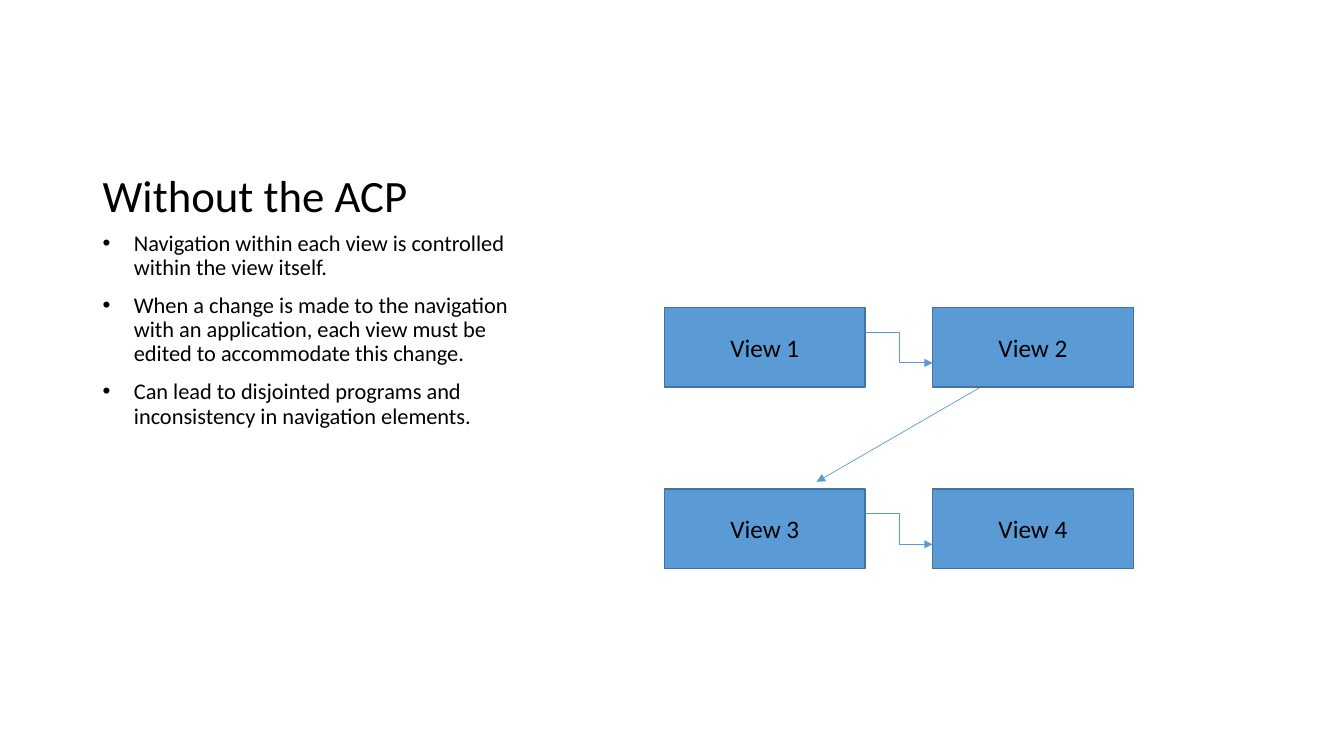
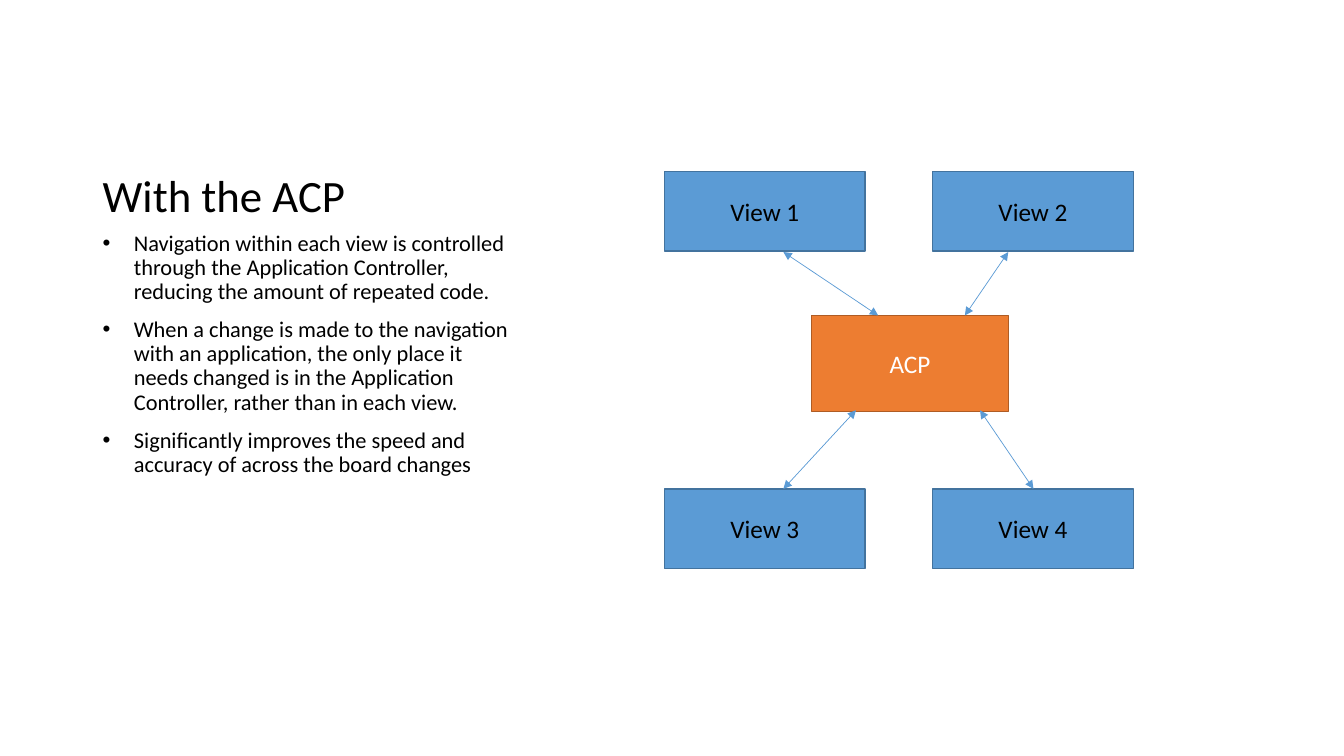
from dataclasses import dataclass

import lxml.etree
import pptx
import pptx.dml.color
import pptx.enum.shapes
import pptx.enum.text
import pptx.oxml.ns
import pptx.util

Inches = pptx.util.Inches
Pt = pptx.util.Pt
RGBColor = pptx.dml.color.RGBColor
Align = pptx.enum.text.PP_ALIGN
Anchor = pptx.enum.text.MSO_ANCHOR
Connector = pptx.enum.shapes.MSO_CONNECTOR
qn = pptx.oxml.ns.qn

# Shared look
FONT = "Calibri"
BLACK = RGBColor(0x00, 0x00, 0x00)
WHITE = RGBColor(0xFF, 0xFF, 0xFF)
BLUE = RGBColor(0x5B, 0x9B, 0xD5)
DARK_BLUE = RGBColor(0x43, 0x73, 0x9E)
ORANGE = RGBColor(0xED, 0x7D, 0x31)
DARK_ORANGE = RGBColor(0xAF, 0x5C, 0x24)

# Shared grid, in inches
TEXT_LEFT, TEXT_WIDTH = 0.92, 4.3
TITLE_TOP, TITLE_HEIGHT = 0.5, 1.75
BODY_TOP, BODY_HEIGHT = 2.25, 4.17
BULLET_INDENT = 0.31
VIEW_COLUMNS = (6.59, 9.25)
VIEW_WIDTH, VIEW_HEIGHT = 1.99, 0.79


@dataclass(frozen=True)
class Node:
    label: str
    left: float
    top: float
    width: float = VIEW_WIDTH
    height: float = VIEW_HEIGHT
    fill: RGBColor = BLUE
    border: RGBColor = DARK_BLUE
    color: RGBColor = BLACK


@dataclass(frozen=True)
class Link:
    start: tuple[float, float]
    end: tuple[float, float]
    bent: bool = False
    two_way: bool = False


@dataclass(frozen=True)
class Content:
    title: str
    bullets: tuple[str, ...]
    nodes: tuple[Node, ...]
    links: tuple[Link, ...]


def view_grid(row_tops: tuple[float, float]) -> tuple[Node, ...]:
    """Number the four views row by row."""
    places = [(left, top) for top in row_tops for left in VIEW_COLUMNS]
    return tuple(Node(f"View {number}", left, top)
                 for number, (left, top) in enumerate(places, start=1))


def style_font(para, size: float, color: RGBColor) -> None:
    para.font.name = FONT
    para.font.size = Pt(size)
    para.font.color.rgb = color


def add_text_frame(page, top: float, height: float, anchor):
    box = page.shapes.add_textbox(Inches(TEXT_LEFT), Inches(top),
                                  Inches(TEXT_WIDTH), Inches(height))
    frame = box.text_frame
    frame.word_wrap = True
    frame.vertical_anchor = anchor
    return frame


def add_title(page, title: str) -> None:
    para = add_text_frame(page, TITLE_TOP, TITLE_HEIGHT, Anchor.BOTTOM).paragraphs[0]
    para.text = title
    para.line_spacing = 0.9
    style_font(para, 32, BLACK)


def add_bullets(page, bullets: tuple[str, ...]) -> None:
    frame = add_text_frame(page, BODY_TOP, BODY_HEIGHT, Anchor.TOP)
    frame.text = "\n".join(bullets)
    for para in frame.paragraphs:
        para.line_spacing = 0.9
        para.space_before = Pt(10)
        properties = para._p.get_or_add_pPr()
        properties.set("marL", str(Inches(BULLET_INDENT)))
        properties.set("indent", str(-Inches(BULLET_INDENT)))
        lxml.etree.SubElement(properties, qn("a:buFont"), typeface="Arial")
        lxml.etree.SubElement(properties, qn("a:buChar"), char="•")
        style_font(para, 16, BLACK)


def add_node(page, node: Node) -> None:
    box = page.shapes.add_shape(
        pptx.enum.shapes.MSO_SHAPE.RECTANGLE, Inches(node.left), Inches(node.top),
        Inches(node.width), Inches(node.height))
    box.shadow.inherit = False
    box.fill.solid()
    box.fill.fore_color.rgb = node.fill
    box.line.color.rgb = node.border
    box.line.width = Pt(1)
    box.text_frame.vertical_anchor = Anchor.MIDDLE
    para = box.text_frame.paragraphs[0]
    para.text = node.label
    para.alignment = Align.CENTER
    style_font(para, 18, node.color)


def add_link(page, link: Link) -> None:
    kind = Connector.ELBOW if link.bent else Connector.STRAIGHT
    points = [Inches(value) for value in (*link.start, *link.end)]
    connector = page.shapes.add_connector(kind, *points)
    connector.line.color.rgb = BLUE
    connector.line.width = Pt(0.5)
    line = connector.line._get_or_add_ln()
    for end in ("a:headEnd", "a:tailEnd") if link.two_way else ("a:tailEnd",):
        lxml.etree.SubElement(line, qn(end), type="triangle")
    lxml.etree.SubElement(connector._element.spPr, qn("a:effectLst"))


def add_page(deck, content: Content) -> None:
    page = deck.slides.add_slide(deck.slide_layouts[6])
    add_title(page, content.title)
    add_bullets(page, content.bullets)
    for node in content.nodes:
        add_node(page, node)
    for link in content.links:
        add_link(page, link)


# Slide contents
WITHOUT_ACP = Content(
    title="Without the ACP",
    bullets=(
        "Navigation within each view is controlled within the view itself.",
        "When a change is made to the navigation with an application, "
        "each view must be edited to accommodate this change.",
        "Can lead to disjointed programs and inconsistency in navigation elements.",
    ),
    nodes=view_grid((3.05, 4.85)),
    links=(
        Link((8.59, 3.3), (9.25, 3.6), bent=True),
        Link((9.71, 3.85), (8.1, 4.78)),
        Link((8.59, 5.09), (9.25, 5.4), bent=True),
    ),
)

WITH_ACP = Content(
    title="With the ACP",
    bullets=(
        "Navigation within each view is controlled through the Application "
        "Controller, reducing the amount of repeated code.",
        "When a change is made to the navigation with an application, the only "
        "place it needs changed is in the Application Controller, rather than "
        "in each view.",
        "Significantly improves the speed and accuracy of across the board changes",
    ),
    nodes=(
        *view_grid((1.7, 4.85)),
        Node("ACP", 8.05, 3.13, 1.95, 0.95, ORANGE, DARK_ORANGE, WHITE),
    ),
    links=(
        Link((7.77, 2.5), (8.71, 3.13), two_way=True),
        Link((10, 2.5), (9.57, 3.13), two_way=True),
        Link((8.49, 4.07), (7.77, 4.85), two_way=True),
        Link((9.72, 4.07), (10.25, 4.85), two_way=True),
    ),
)

# Build the deck
deck = pptx.Presentation()
deck.slide_width = Inches(13.33)
deck.slide_height = Inches(7.5)
for content in (WITHOUT_ACP, WITH_ACP):
    add_page(deck, content)
deck.save("out.pptx")
